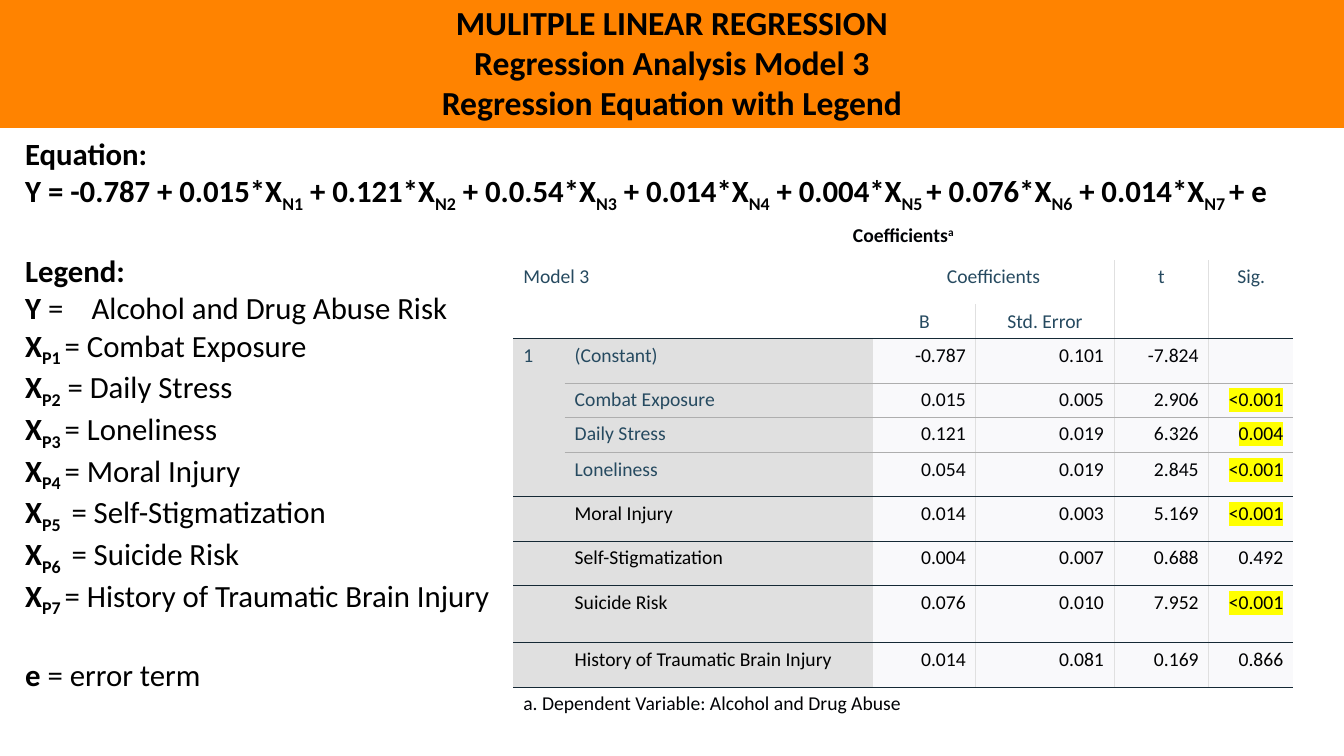
from typing import NamedTuple

from lxml.etree import SubElement
from pptx import Presentation
from pptx.dml.color import RGBColor
from pptx.enum.shapes import MSO_SHAPE as Shape
from pptx.enum.text import MSO_ANCHOR as Anchor, PP_ALIGN as Align
from pptx.oxml.ns import qn
from pptx.util import Inches, Pt

COLORS = {
    "orange": "FF8300", "white": "FFFFFF", "black": "000000",
    "ink": "010205", "label": "264A60", "gray": "E0E0E0", "pale": "F9F9FB",
    "dark": "152935", "rule": "AEAEAE", "yellow": "FFFF00",
}
FONT = "Calibri"
LINE_22 = Pt(26.85)


class Span(NamedTuple):
    text: str
    bold: bool = True
    baseline: int = 0


class Line(NamedTuple):
    spans: list[Span]
    gap: bool = False
    tab: float = 0


class Predictor(NamedTuple):
    name: str
    values: list[str]
    height: float
    below: str = "dark"
    color: str = "black"


def rgb(name: str) -> RGBColor:
    return RGBColor.from_string(COLORS[name])


def style(run, size: float, color: str = "black", bold: bool = False, baseline: int = 0) -> None:
    run.font.name = FONT
    run.font.size = Pt(size)
    run.font.bold = bold
    run.font.color.rgb = rgb(color)
    if baseline:
        run.font._element.set("baseline", str(baseline * 1000))


def highlight(run, color: str) -> None:
    props = run.font._element
    mark = SubElement(props, qn("a:highlight"))
    SubElement(mark, qn("a:srgbClr"), val=COLORS[color])
    props.find(qn("a:solidFill")).addnext(mark)


def paint(cell, fill: str, **borders: str) -> None:
    """Fill a cell and draw only the named sides: L, R, T, B."""
    props = cell._tc.get_or_add_tcPr()
    for side in "LRTB":
        line = SubElement(props, qn(f"a:ln{side}"), w=str(Pt(0.75)))
        if side in borders:
            solid = SubElement(line, qn("a:solidFill"))
            SubElement(solid, qn("a:srgbClr"), val=COLORS[borders[side]])
        else:
            SubElement(line, qn("a:noFill"))
    cell.fill.solid()
    cell.fill.fore_color.rgb = rgb(fill)


def write(cell, text: str, color: str, align=Align.LEFT, bold: bool = False) -> None:
    para = cell.text_frame.paragraphs[0]
    para.text = text
    para.alignment = align
    for run in para.runs:
        style(run, 14, color, bold)


def add_grid(page, left: float, top: float, columns: list[float], rows: list[float]):
    table = page.shapes.add_table(
        len(rows), len(columns), Inches(left), Inches(top),
        Inches(sum(columns)), Inches(sum(rows))).table
    table.first_row = table.horz_banding = False
    for column, width in zip(table.columns, columns):
        column.width = Inches(width)
    for row, height in zip(table.rows, rows):
        row.height = Inches(height)
    return table


def add_banner(page, lines: list[str]) -> None:
    banner = page.shapes.add_shape(
        Shape.RECTANGLE, 0, Inches(-0.04), Inches(13.33), Inches(1.31))
    banner.shadow.inherit = False
    banner.fill.solid()
    banner.fill.fore_color.rgb = rgb("orange")
    banner.line.fill.background()
    frame = banner.text_frame
    frame.vertical_anchor = Anchor.MIDDLE
    frame.text = "\n".join(lines)
    for para in frame.paragraphs:
        para.alignment = Align.CENTER
        for run in para.runs:
            style(run, 24, bold=True)


def add_legend(page, lines: list[Line]) -> None:
    table = add_grid(page, 0.13, 1.35, [12.95], [5.15, 0.8])
    for row in range(2):
        paint(table.cell(row, 0), "white")
    cell = table.cell(0, 0)
    cell.margin_left = cell.margin_right = Inches(0.12)
    cell.margin_top = cell.margin_bottom = 0
    frame = cell.text_frame
    for index, line in enumerate(lines):
        para = frame.add_paragraph() if index else frame.paragraphs[0]
        if line.tab:
            tabs = SubElement(para._p.get_or_add_pPr(), qn("a:tabLst"))
            SubElement(tabs, qn("a:tab"), pos=str(Inches(line.tab)), algn="l")
        if line.gap:
            para.space_before = LINE_22
        for span in line.spans:
            run = para.add_run()
            run.text = span.text
            style(run, 22, bold=span.bold, baseline=span.baseline)


def add_coefficients(page, predictors: list[Predictor]) -> None:
    heights = [0.41, 0.44, 0.34] + [item.height for item in predictors] + [0.34]
    table = add_grid(page, 5.09, 2.17, [0.51, 3.06, 1.02, 1.37, 0.94, 0.84], heights)
    last = len(heights) - 1
    for start, end in [((0, 0), (0, 5)), ((1, 0), (2, 1)), ((1, 2), (1, 3)),
                       ((1, 4), (2, 4)), ((1, 5), (2, 5)), ((3, 0), (6, 0)),
                       ((last, 0), (last, 5))]:
        table.cell(*start).merge(table.cell(*end))

    # Caption and column heads
    caption = table.cell(0, 0)
    paint(caption, "white")
    write(caption, "Coefficients", "ink", Align.CENTER, bold=True)
    note = caption.text_frame.paragraphs[0].add_run()
    note.text = "a"
    style(note, 14, "ink", True, 30)
    heads = [
        (1, 0, "Model 3", {"B": "dark"}),
        (1, 2, "Coefficients", {"R": "gray"}),
        (1, 4, "t", {"L": "gray", "R": "gray", "B": "dark"}),
        (1, 5, "Sig.", {"L": "gray", "B": "dark"}),
        (2, 2, "B", {"R": "gray", "B": "dark"}),
        (2, 3, "Std. Error", {"L": "gray", "R": "gray", "B": "dark"}),
    ]
    for row, column, text, borders in heads:
        paint(table.cell(row, column), "white", **borders)
        write(table.cell(row, column), text, "label", Align.CENTER if column else Align.LEFT)

    # One row per predictor
    above = "dark"
    for row, item in enumerate(predictors, start=3):
        edges = {"T": above, "B": item.below}
        if row == 3 or row > 6:
            paint(table.cell(row, 0), "gray", T="dark", B="dark")
        paint(table.cell(row, 1), "gray", **edges)
        write(table.cell(row, 1), item.name, item.color)
        for column, value in enumerate(item.values, start=2):
            sides = dict(edges)
            if column > 2:
                sides["L"] = "gray"
            if column < 5:
                sides["R"] = "gray"
            cell = table.cell(row, column)
            paint(cell, "pale", **sides)
            if value:
                write(cell, value, "ink" if item.color == "label" else "black", Align.RIGHT)
            if value in ("<0.001", "0.004") and column == 5:
                highlight(cell.text_frame.paragraphs[0].runs[0], "yellow")
        above = item.below
    write(table.cell(3, 0), "1", "label")

    # Footnote
    paint(table.cell(last, 0), "white", T="dark")
    write(table.cell(last, 0), "a. Dependent Variable: Alcohol and Drug Abuse", "ink")


TERMS = [("Y = -0.787 + 0.015*X", "N1"), (" + 0.121*X", "N2"), (" + 0.0.54*X", "N3"),
         (" + 0.014*X", "N4"), (" + 0.004*X", "N5 "), ("+ 0.076*X", "N6"),
         (" + 0.014*X", "N7 ")]
EQUATION = [span for term, sub in TERMS for span in (Span(term), Span(sub, baseline=-25))]
SYMBOLS = [("P1 ", "= Combat Exposure", 0), ("P2", " = Daily Stress", 0),
           ("P3 ", "= Loneliness", 0), ("P4 ", "= Moral Injury", 0),
           ("P5", "\t= Self-Stigmatization", 0.46), ("P6", "\t= Suicide Risk", 0.46),
           ("P7 ", "= History of Traumatic Brain Injury", 0)]
LEGEND = [
    Line([Span("Equation:")]),
    Line(EQUATION + [Span("+ e")]),
    Line([Span("Legend:")], gap=True),
    Line([Span("Y "), Span("=\tAlcohol and Drug Abuse Risk", False)], tab=0.66),
    *[Line([Span("X"), Span(sub, baseline=-25), Span(meaning, False)], tab=tab)
      for sub, meaning, tab in SYMBOLS],
    Line([Span("e "), Span("= error term", False)], gap=True),
]
PREDICTORS = [
    Predictor("(Constant)", ["-0.787", "0.101", "-7.824", ""], 0.44, "rule", "label"),
    Predictor("Combat Exposure", ["0.015", "0.005", "2.906", "<0.001"], 0.34, "rule", "label"),
    Predictor("Daily Stress", ["0.121", "0.019", "6.326", "0.004"], 0.35, "rule", "label"),
    Predictor("Loneliness", ["0.054", "0.019", "2.845", "<0.001"], 0.44, "dark", "label"),
    Predictor("Moral Injury", ["0.014", "0.003", "5.169", "<0.001"], 0.44),
    Predictor("Self-Stigmatization", ["0.004", "0.007", "0.688", "0.492"], 0.44),
    Predictor("Suicide Risk", ["0.076", "0.010", "7.952", "<0.001"], 0.57),
    Predictor("History of Traumatic Brain Injury", ["0.014", "0.081", "0.169", "0.866"], 0.44),
]

deck = Presentation()
deck.slide_width, deck.slide_height = Inches(13.33), Inches(7.5)
page = deck.slides.add_slide(deck.slide_layouts[6])
add_banner(page, ["MULITPLE LINEAR REGRESSION", "Regression Analysis Model 3",
                  "Regression Equation with Legend"])
add_legend(page, LEGEND)
add_coefficients(page, PREDICTORS)
deck.save("out.pptx")
